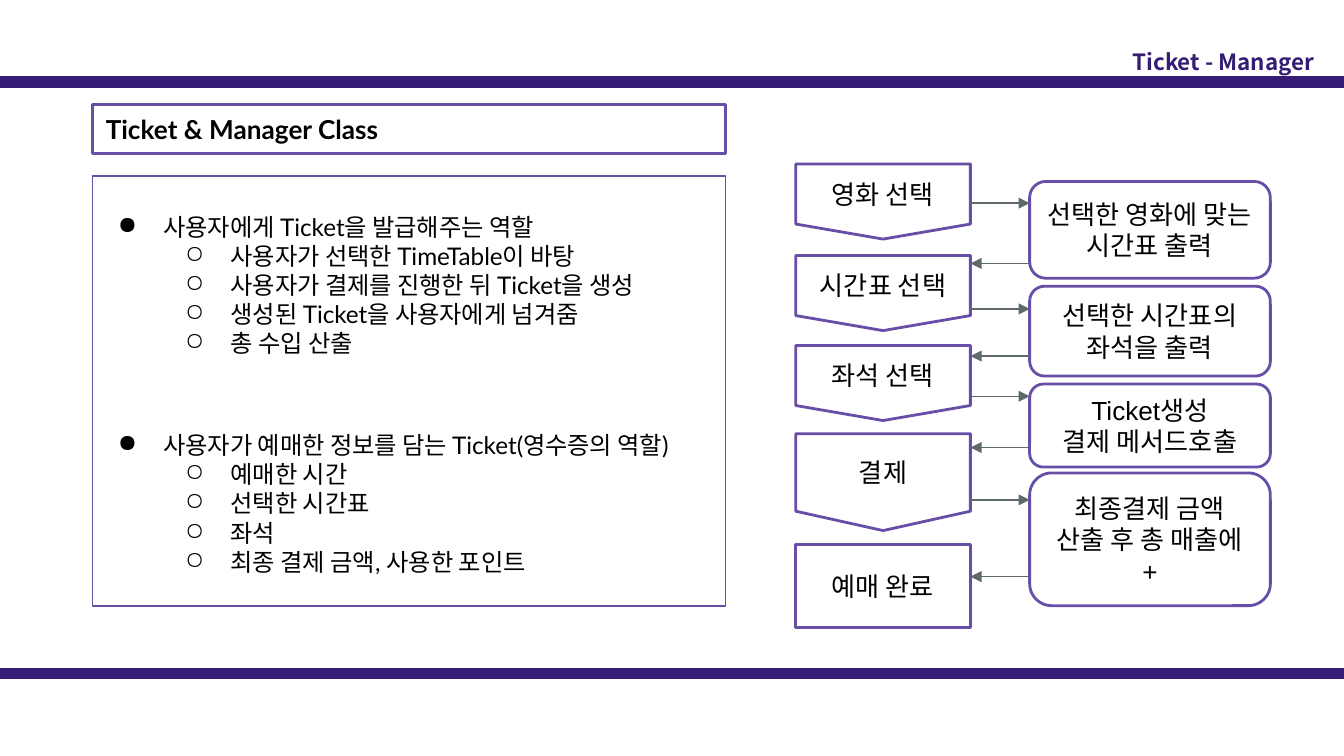
from pptx import Presentation
from pptx.dml.color import RGBColor
from pptx.enum.shapes import MSO_CONNECTOR, MSO_SHAPE
from pptx.enum.text import MSO_ANCHOR, MSO_AUTO_SIZE, PP_ALIGN
from pptx.oxml.ns import qn
from pptx.util import Cm, Pt
from lxml import etree

LINE = MSO_CONNECTOR.STRAIGHT
RECT = MSO_SHAPE.RECTANGLE
ROUND = MSO_SHAPE.ROUNDED_RECTANGLE
PAGE = MSO_SHAPE.FLOWCHART_OFFPAGE_CONNECTOR
LEFT, CENTER, RIGHT = PP_ALIGN.LEFT, PP_ALIGN.CENTER, PP_ALIGN.RIGHT
TOP, MIDDLE = MSO_ANCHOR.TOP, MSO_ANCHOR.MIDDLE
NO_FIT = MSO_AUTO_SIZE.NONE

COLORS = {"bar": "351C75", "edge": "674EA7", "arrow": "5E696C", "text": "000000"}
FRAME = {"word_wrap": True, "auto_size": NO_FIT, "margin_left": Cm(0.25),
         "margin_right": Cm(0.25), "margin_top": Cm(0.25), "margin_bottom": Cm(0.25)}
HEAD = {"name": "Noto Sans CJK KR", "size": Pt(12), "bold": True}
CLASS = {"name": "Lato", "size": Pt(14), "bold": True}
BODY = {"name": "Lato", "size": Pt(13), "bold": False}
NODE = {"name": "Arial", "size": Pt(14), "bold": False}

STEP_X, STEP_W = 15.04, 3.3
REPLY_X, REPLY_W = 19.46, 4.55
STEPS = [
    ("영화 선택", PAGE, 3.1, 1.42),
    ("시간표 선택", PAGE, 4.83, 1.42),
    ("좌석 선택", PAGE, 6.53, 1.42),
    ("결제", PAGE, 8.2, 1.83),
    ("예매 완료", RECT, 10.29, 1.57),
]
REPLIES = [
    (["선택한 영화에 맞는 시간표 출력"], 3.43, 1.83, 3.84, 4.98),
    (["선택한 시간표의 좌석을 출력"], 5.41, 1.7, 5.84, 6.73),
    (["Ticket생성", "결제 메서드호출"], 7.26, 1.57, 7.49, 8.46),
    (["최종결제 금액 산출 후 총 매출에 +"], 8.94, 2.51, 9.45, 10.9),
]
TOPICS = [
    ("사용자에게 Ticket을 발급해주는 역할",
     ["사용자가 선택한 TimeTable이 바탕", "사용자가 결제를 진행한 뒤 Ticket을 생성",
      "생성된 Ticket을 사용자에게 넘겨줌", "총 수입 산출"]),
    ("사용자가 예매한 정보를 담는 Ticket(영수증의 역할)",
     ["예매한 시간", "선택한 시간표", "좌석", "최종 결제 금액, 사용한 포인트"]),
]


def paint(key):
    return RGBColor.from_string(COLORS[key])


def apply(item, values):
    for name, value in values.items():
        setattr(item, name, value)


def write(para, text, font, color="text", align=LEFT):
    para.alignment = align
    run = para.add_run()
    run.text = text
    apply(run.font, font)
    run.font.color.rgb = paint(color)


def add_line(slide, start, end, color, width, head=False):
    line = slide.shapes.add_connector(LINE, *map(Cm, start + end))
    line.line.color.rgb = paint(color)
    line.line.width = Pt(width)
    props = line._element.spPr
    if head:
        etree.SubElement(props.find(qn("a:ln")), qn("a:tailEnd"), type="triangle")
    etree.SubElement(props, qn("a:effectLst"))


def add_box(slide, kind, place, texts=(), font=NODE, align=CENTER, width=1.5):
    box = slide.shapes.add_shape(kind, *map(Cm, place))
    box.shadow.inherit = False
    box.fill.background()
    box.line.color.rgb = paint("edge")
    box.line.width = Pt(width)
    frame = box.text_frame
    apply(frame, FRAME)
    frame.vertical_anchor = MIDDLE
    for index, text in enumerate(texts):
        para = frame.add_paragraph() if index else frame.paragraphs[0]
        write(para, text, font, align=align)


def add_title(slide, text):
    title = slide.shapes.title
    apply(title, {"left": Cm(15.77), "top": Cm(0.66), "width": Cm(9.32), "height": Cm(1.57)})
    apply(title.text_frame, FRAME)
    title.text_frame.vertical_anchor = TOP
    write(title.text_frame.paragraphs[0], text, HEAD, "bar", RIGHT)


def add_bullet(para, text, level):
    write(para, text, BODY)
    para.level = level
    props = para._p.get_or_add_pPr()
    props.set("marL", str(Cm(1.27 * (level + 1))))
    props.set("indent", str(Cm(-0.86)))
    tint = etree.SubElement(props, qn("a:buClr"))
    etree.SubElement(tint, qn("a:srgbClr"), val=COLORS["text"])
    etree.SubElement(props, qn("a:buChar"), char="●○"[level])


def add_topics(slide):
    frame = slide.shapes.add_textbox(Cm(1.57), Cm(3.48), Cm(12.12), Cm(8.38)).text_frame
    apply(frame, FRAME)
    for index, (topic, points) in enumerate(TOPICS):
        para = frame.add_paragraph() if index else frame.paragraphs[0]
        para.line_spacing = 1.5
        para.space_before = Pt(31.2 * index)
        add_bullet(para, topic, 0)
        for point in points:
            add_bullet(frame.add_paragraph(), point, 1)


def add_flow(slide):
    for text, kind, top, height in STEPS:
        add_box(slide, kind, (STEP_X, top, STEP_W, height), [text])
    edge = STEP_X + STEP_W
    for texts, top, height, ask, answer in REPLIES:
        add_box(slide, ROUND, (REPLY_X, top, REPLY_W, height), texts)
        add_line(slide, (edge, ask), (REPLY_X, ask), "arrow", 0.75, True)
        add_line(slide, (REPLY_X, answer), (edge, answer), "arrow", 0.75, True)


def main():
    deck = Presentation()
    deck.slide_width, deck.slide_height = Cm(25.4), Cm(14.29)
    slide = deck.slides.add_slide(deck.slide_layouts[5])
    for y in (1.55, 12.73):
        add_line(slide, (0, y), (25.4, y), "bar", 6)
    add_title(slide, "Ticket - Manager")
    add_topics(slide)
    add_flow(slide)
    add_box(slide, RECT, (1.75, 1.98, 11.96, 0.92), ["Ticket & Manager Class"], CLASS, LEFT)
    add_box(slide, RECT, (1.75, 3.33, 11.96, 8.13), width=0.75)
    deck.save("out.pptx")


if __name__ == "__main__":
    main()
